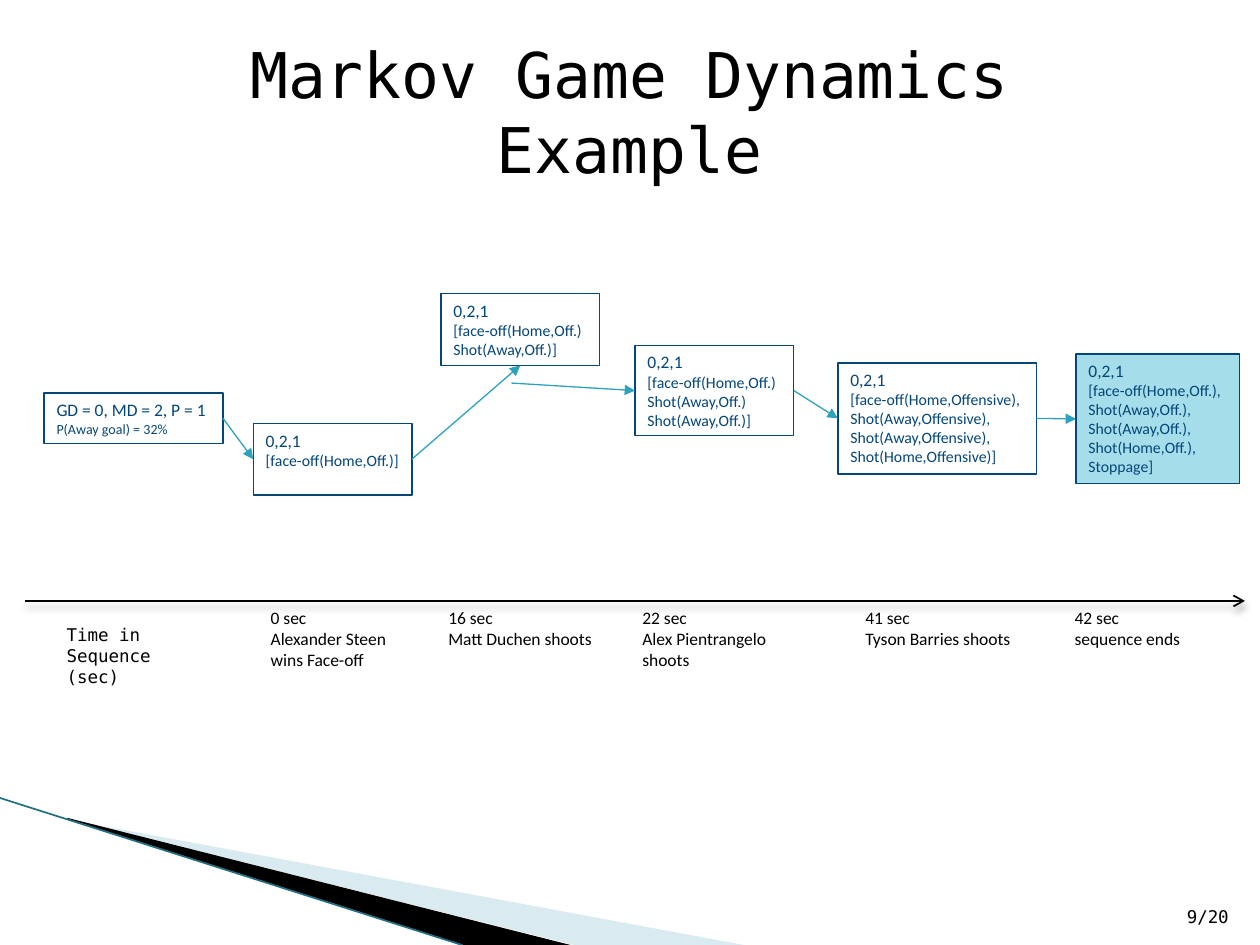
from pptx import Presentation
from pptx.dml.color import RGBColor
from pptx.enum.shapes import MSO_CONNECTOR as Line, MSO_SHAPE as Shape
from pptx.enum.text import MSO_ANCHOR as Anchor, PP_ALIGN as Align
from pptx.oxml import parse_xml
from pptx.oxml.ns import nsdecls
from pptx.util import Pt

THEME = {
    "ink": "000000", "state": "044678", "link": "2DA2BF", "end": "A6DDEA",
    "pale": "A0CBDC", "edge": "1F6F83",
    "sans": "Calibri", "mono": "DejaVu Sans Mono",
    "title": 36, "body": 10, "event": 9, "note": 8,
}

STATES = [
    ("start", (25.2, 224.6, 102.2, 28.8), "note", None,
     ["GD = 0, MD = 2, P = 1", "P(Away goal) = 32%"]),
    ("faceoff", (144.7, 241.9, 90.7, 41), "event", None,
     ["0,2,1", "[face-off(Home,Off.)]"]),
    ("shot1", (252, 167.8, 90.7, 41), "event", None,
     ["0,2,1", "[face-off(Home,Off.)", "Shot(Away,Off.)]"]),
    ("shot2", (362.9, 197.3, 90.7, 51.8), "event", None,
     ["0,2,1", "[face-off(Home,Off.)", "Shot(Away,Off.)", "Shot(Away,Off.)]"]),
    ("shot3", (478.8, 207.4, 113.4, 63.4), "event", None,
     ["0,2,1", "[face-off(Home,Offensive),", "Shot(Away,Offensive),",
      "Shot(Away,Offensive),", "Shot(Home,Offensive)]"]),
    ("stop", (614.9, 202.3, 93.6, 74.2), "event", "end",
     ["0,2,1", "[face-off(Home,Off.),", "Shot(Away,Off.),", "Shot(Away,Off.),",
      "Shot(Home,Off.),", "Stoppage]"]),
]
LINKS = [("start", "faceoff", 1), ("faceoff", "shot1", 2), ("shot2", "shot3", 1),
         ("shot3", "stop", 1)]
LOOSE_START = (292.3, 218.9)
AXIS_TOP = 343.4
MOMENTS = [
    (147.6, 85, ["0 sec", "Alexander Steen wins Face-off"]),
    (249.1, 96.5, ["16 sec", "Matt Duchen shoots"]),
    (360, 96.5, ["22 sec", "Alex Pientrangelo shoots"]),
    (487.4, 105.1, ["41 sec", "Tyson Barries shoots"]),
    (607, 105.1, ["42 sec", "sequence ends"]),
]
LABELS = [
    ((660.2, 504.7, 49, 28.8), "9/20", "body", Align.RIGHT, Anchor.BOTTOM),
    ((60.5, 16.6, 598.3, 94), "Markov Game Dynamics Example", "title",
     Align.CENTER, Anchor.TOP),
    ((31, 352.8, 73.4, 43.9), "Time in Sequence (sec)", "body", Align.LEFT, Anchor.TOP),
]
WEDGES = [
    ("pale", 40, [(39.6, 468.5), (425, 540), (328, 540), (39.6, 468)]),
    ("ink", 100, [(38.2, 467.3), (326, 540), (265, 540), (38.9, 468)]),
]


def colour(name):
    """Return a theme colour."""
    return RGBColor.from_string(THEME[name])


def points(values):
    """Turn numbers into lengths."""
    return [Pt(value) for value in values]


def write(box, lines, sizes, font, ink, align=Align.LEFT, anchor=Anchor.TOP):
    """Fill a box with one paragraph per line."""
    frame = box.text_frame
    frame.word_wrap, frame.vertical_anchor = True, anchor
    for index, (line, size) in enumerate(zip(lines, sizes)):
        para = frame.add_paragraph() if index else frame.paragraphs[0]
        para.alignment = align
        span = para.add_run()
        span.text = line
        look = {"name": THEME[font], "size": Pt(THEME[size])}
        for key, value in look.items():
            setattr(span.font, key, value)
        span.font.color.rgb = colour(ink)


def draw_line(page, begin, end, ink, width, head=None, effect=""):
    """Draw a straight line with an optional arrowhead."""
    line = page.shapes.add_connector(Line.STRAIGHT, *points(begin + end))
    line.line.color.rgb, line.line.width = colour(ink), Pt(width)
    if head:
        line.line._get_or_add_ln().append(
            parse_xml(f'<a:tailEnd {nsdecls("a")} type="{head}"/>'))
    line._element.spPr.append(
        parse_xml(f'<a:effectLst {nsdecls("a")}>{effect}</a:effectLst>'))
    return line


def draw_wedge(page, fill, opacity, outline):
    """Draw a filled corner wedge."""
    first, *rest = [points(point) for point in outline]
    builder = page.shapes.build_freeform(*first)
    builder.add_line_segments(rest, close=True)
    wedge = builder.convert_to_shape()
    wedge.shadow.inherit = False
    wedge.fill.solid()
    wedge.fill.fore_color.rgb = colour(fill)
    wedge.line.fill.background()
    if opacity < 100:
        tint = wedge._element.spPr.find(".//" + "{http://schemas.openxmlformats.org/drawingml/2006/main}srgbClr")
        tint.append(parse_xml(f'<a:alpha {nsdecls("a")} val="{opacity * 1000}"/>'))


def draw_state(page, place, detail, fill, lines):
    """Draw a state box."""
    box = page.shapes.add_shape(Shape.RECTANGLE, *points(place))
    box.shadow.inherit = False
    if fill:
        box.fill.solid()
        box.fill.fore_color.rgb = colour(fill)
    else:
        box.fill.background()
    box.line.color.rgb, box.line.width = colour("state"), Pt(0.75)
    box.text_frame.margin_right = Pt(2)
    write(box, lines, ["body"] + [detail] * (len(lines) - 1), "sans", "state")
    return box


def main():
    """Build the slide."""
    deck = Presentation()
    deck.slide_width, deck.slide_height = Pt(720), Pt(540)
    page = deck.slides.add_slide(deck.slide_layouts[6])
    for wedge in WEDGES:
        draw_wedge(page, *wedge)
    draw_line(page, (0, 456), (264, 540), "edge", 0.95)
    for place, label, size, align, anchor in LABELS:
        box = page.shapes.add_textbox(*points(place))
        write(box, [label], [size], "mono", "ink", align, anchor)

    boxes = {name: draw_state(page, *state) for name, *state in STATES}
    for source, target, side in LINKS:
        link = draw_line(page, (0, 0), (0, 0), "link", 0.75, "triangle")
        link.begin_connect(boxes[source], 3)
        link.end_connect(boxes[target], side)
    loose = draw_line(page, LOOSE_START, LOOSE_START, "link", 0.75, "triangle")
    loose.end_connect(boxes["shot2"], 1)

    for left, width, lines in MOMENTS:
        box = page.shapes.add_textbox(*points((left, AXIS_TOP, width, 16 + 14 * len(lines))))
        write(box, lines, ["body"] * len(lines), "sans", "ink")
    shadow = ('<a:outerShdw blurRad="50800" dist="38100" dir="5400000" rotWithShape="0">'
              '<a:srgbClr val="000000"><a:alpha val="35000"/></a:srgbClr></a:outerShdw>')
    draw_line(page, (14.4, AXIS_TOP), (711.4, AXIS_TOP), "ink", 1, "arrow", shadow)
    deck.save("out.pptx")


if __name__ == "__main__":
    main()
